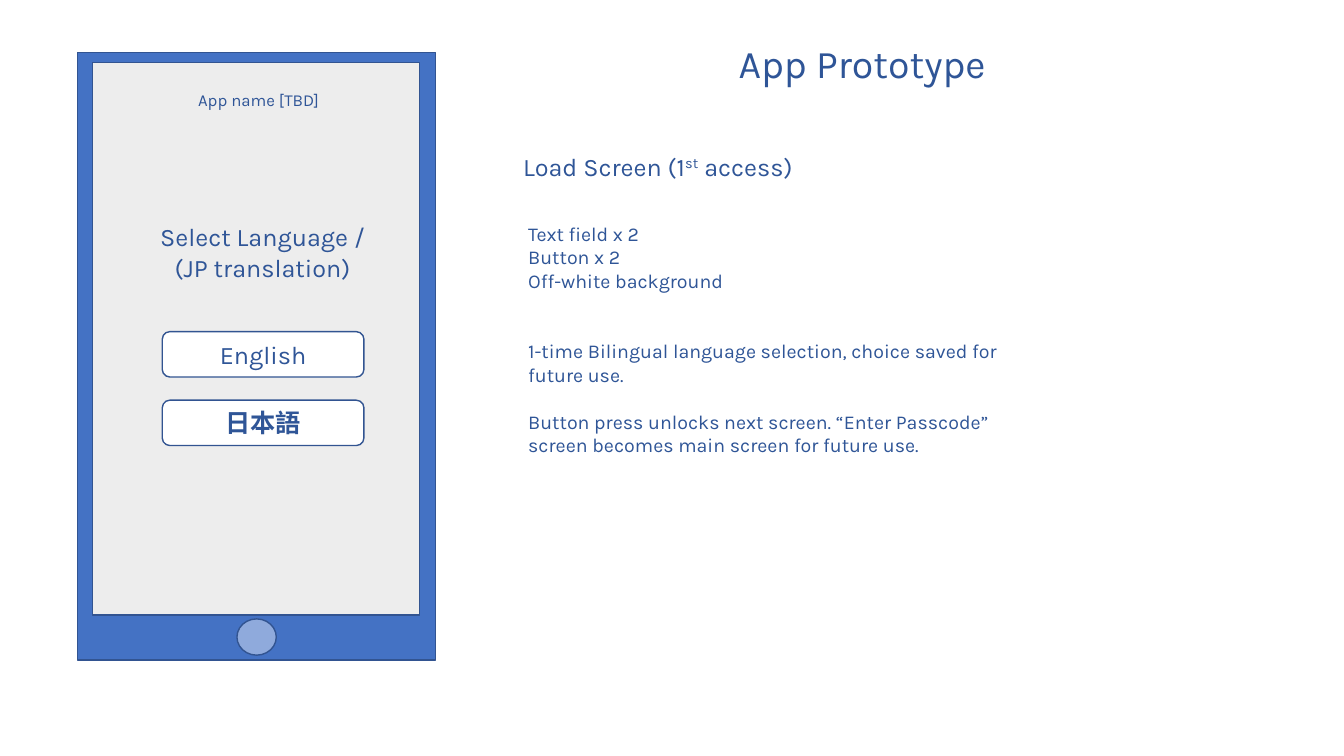
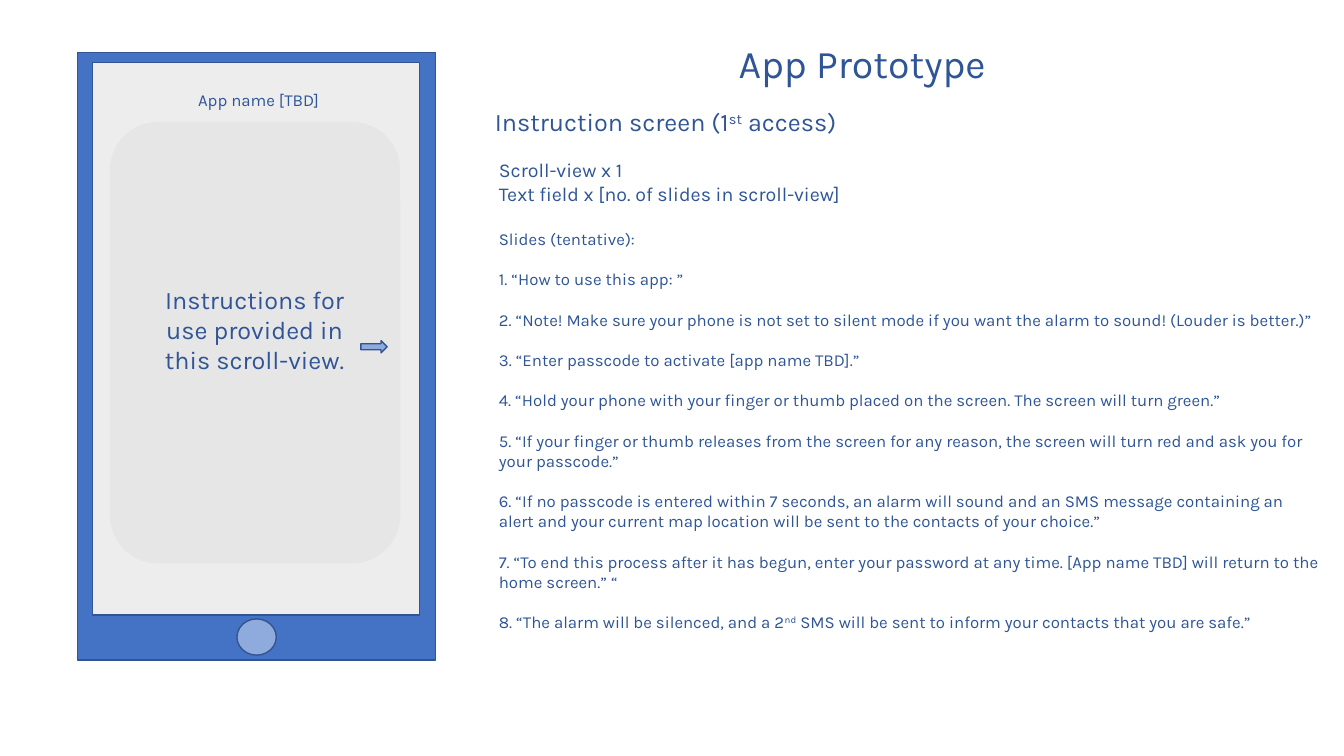
from typing import NamedTuple, Optional

from pptx import Presentation
from pptx.dml.color import RGBColor
from pptx.enum import shapes, text
from pptx.util import Inches, Pt

FONT = "Karla"
INK = "2F5597"
OUTLINE = "325491"
PHONE_BLUE = "4472C4"
SCREEN_GREY = "EDEDED"
SCROLL_GREY = "E7E6E6"
ACCENT = "8FAADC"
WHITE = "FFFFFF"
TITLE_ONLY = 5
BUTTON_TOP, BUTTON_PITCH = 3.29, 0.68
LEFT, CENTER = text.PP_ALIGN.LEFT, text.PP_ALIGN.CENTER
TOP, MIDDLE = text.MSO_ANCHOR.TOP, text.MSO_ANCHOR.MIDDLE
KIND = shapes.MSO_SHAPE


class Box(NamedTuple):
    left: float
    top: float
    width: float
    height: float


class Run(NamedTuple):
    words: str
    raised: bool = False


class Line(NamedTuple):
    runs: list[Run]
    size: float
    before: float = 0
    bold: bool = False


class Part(NamedTuple):
    kind: shapes.MSO_SHAPE
    box: Box
    fill: str
    outline: Optional[str] = OUTLINE


PHONE = [
    Part(KIND.RECTANGLE, Box(0.77, 0.52, 3.55, 6.03), PHONE_BLUE),
    Part(KIND.RECTANGLE, Box(0.92, 0.62, 3.24, 5.48), SCREEN_GREY),
    Part(KIND.OVAL, Box(2.35, 6.14, 0.39, 0.36), ACCENT),
]
SCROLL_VIEW = [
    Part(KIND.ROUNDED_RECTANGLE, Box(1.09, 1.21, 2.88, 4.38), SCROLL_GREY, None),
    Part(KIND.RIGHT_ARROW, Box(3.58, 3.38, 0.26, 0.12), ACCENT),
]


def color(value: str) -> RGBColor:
    return RGBColor.from_string(value)


def plain(words: str, size: float, before: float = 0, bold: bool = False) -> Line:
    return Line([Run(words)], size, before, bold)


def ordinal(start: str, suffix: str, end: str, size: float, before: float = 0) -> Line:
    return Line([Run(start), Run(suffix, True), Run(end)], size, before)


LOAD_NOTES = [
    plain("Text field x 2", 14),
    plain("Button x 2", 14),
    plain("Off-white background", 14),
    plain("1-time Bilingual language selection, choice saved for future use.", 14, 33.4),
    plain("Button press unlocks next screen. “Enter Passcode” screen becomes "
          "main screen for future use.", 14, 16.8),
]
INSTRUCTIONS = [
    "Slides (tentative):",
    "1. “How to use this app: ”",
    "2. “Note! Make sure your phone is not set to silent mode if you want the "
    "alarm to sound! (Louder is better.)”",
    "3. “Enter passcode to activate [app name TBD].”",
    "4. “Hold your phone with your finger or thumb placed on the screen. "
    "The screen will turn green.”",
    "5. “If your finger or thumb releases from the screen for any reason, "
    "the screen will turn red and ask you for your passcode.”",
    "6. “If no passcode is entered within 7 seconds, an alarm will sound and an SMS "
    "message containing an alert and your current map location will be sent to the "
    "contacts of your choice.”",
    "7. “To end this process after it has begun, enter your password at any time. "
    "[App name TBD] will return to the home screen.” “",
]
INSTRUCTION_NOTES = [
    plain("Scroll-view x 1", 14),
    plain("Text field x [no. of slides in scroll-view]", 14),
    *[plain(words, 12, 14.4 if index else 16.8) for index, words in enumerate(INSTRUCTIONS)],
    ordinal("8. “The alarm will be silenced, and a 2", "nd",
            " SMS will be sent to inform your contacts that you are safe.”", 12, 14.4),
]


def place(shape, box: Box) -> None:
    shape.left, shape.top, shape.width, shape.height = map(Inches, box)


def write(shape, lines: list[Line], align=LEFT, anchor=TOP) -> None:
    frame = shape.text_frame
    frame.word_wrap = True
    frame.auto_size = text.MSO_AUTO_SIZE.NONE
    frame.vertical_anchor = anchor
    for index, line in enumerate(lines):
        paragraph = frame.add_paragraph() if index else frame.paragraphs[0]
        paragraph.alignment = align
        paragraph.space_before = Pt(line.before)
        for piece in line.runs:
            run = paragraph.add_run()
            run.text = piece.words
            run.font.name = FONT
            run.font.size = Pt(line.size)
            run.font.bold = line.bold
            run.font.color.rgb = color(INK)
            if piece.raised:
                run._r.get_or_add_rPr().set("baseline", "30000")


def add_text(slide, box: Box, lines: list[Line], align=LEFT) -> None:
    write(slide.shapes.add_textbox(*map(Inches, box)), lines, align)


def add_part(slide, part: Part):
    shape = slide.shapes.add_shape(part.kind, *map(Inches, part.box))
    shape.shadow.inherit = False
    shape.fill.solid()
    shape.fill.fore_color.rgb = color(part.fill)
    if part.outline:
        shape.line.color.rgb = color(part.outline)
        shape.line.width = Pt(1)
    else:
        shape.line.fill.background()
    return shape


def add_prototype_slide(presentation):
    slide = presentation.slides.add_slide(presentation.slide_layouts[TITLE_ONLY])
    title = slide.shapes.title
    place(title, Box(5.71, 0.34, 5.68, 0.57))
    write(title, [plain("App Prototype", 28)], CENTER)
    for part in PHONE:
        add_part(slide, part)
    add_text(slide, Box(1.08, 0.84, 2.97, 0.3), [plain("App name [TBD]", 12)], CENTER)
    return slide


def build_load_screen(presentation) -> None:
    slide = add_prototype_slide(presentation)
    add_text(slide, Box(1.12, 2.15, 2.97, 0.71),
             [plain("Select Language /", 18), plain("(JP translation)", 18)], CENTER)
    labels = [plain("English", 18), plain("日本語", 18, bold=True)]
    for index, label in enumerate(labels):
        box = Box(1.61, BUTTON_TOP + index * BUTTON_PITCH, 2, 0.45)
        button = add_part(slide, Part(KIND.ROUNDED_RECTANGLE, box, WHITE))
        write(button, [label], CENTER, MIDDLE)
    add_text(slide, Box(5.09, 1.45, 3.74, 0.4),
             [ordinal("Load Screen (1", "st", " access)", 18)])
    add_text(slide, Box(5.14, 2.15, 5.22, 3.64), LOAD_NOTES)


def build_instruction_screen(presentation) -> None:
    slide = add_prototype_slide(presentation)
    for part in SCROLL_VIEW:
        add_part(slide, part)
    add_text(slide, Box(1.47, 2.77, 2.11, 2.52),
             [plain("Instructions for use provided in this scroll-view.", 18)], CENTER)
    add_text(slide, Box(4.81, 1.01, 5.31, 0.4),
             [ordinal("Instruction screen (1", "st", " access)", 18)])
    add_text(slide, Box(4.85, 1.52, 8.36, 5.69), INSTRUCTION_NOTES)


def main() -> None:
    presentation = Presentation()
    presentation.slide_width = Inches(13.33)
    presentation.slide_height = Inches(7.5)
    build_load_screen(presentation)
    build_instruction_screen(presentation)
    presentation.save("out.pptx")


if __name__ == "__main__":
    main()
